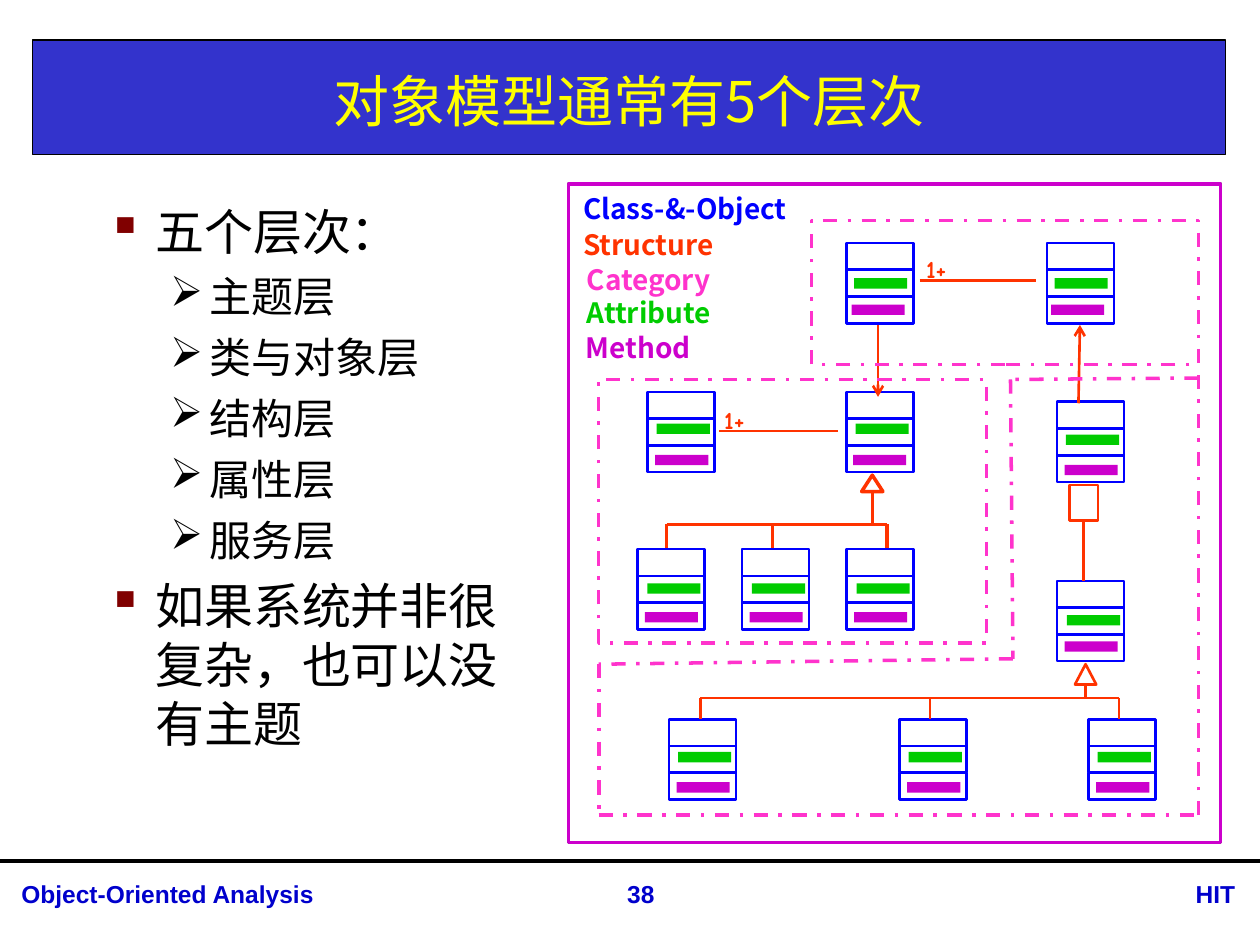
from dataclasses import dataclass
from itertools import pairwise

from lxml import etree
from pptx import Presentation
from pptx import util as u
from pptx.dml.color import RGBColor
from pptx.enum import dml, shapes, text
from pptx.oxml import ns

BLACK = RGBColor(0x00, 0x00, 0x00)
YELLOW = RGBColor(0xFF, 0xFF, 0x00)
BANNER = RGBColor(0x33, 0x33, 0xCC)
NAVY = RGBColor(0x00, 0x00, 0xCC)
BLUE = RGBColor(0x00, 0x00, 0xFF)
ORANGE = RGBColor(0xFF, 0x33, 0x00)
PINK = RGBColor(0xFF, 0x33, 0xCC)
GREEN = RGBColor(0x00, 0xCC, 0x00)
PURPLE = RGBColor(0xCC, 0x00, 0xCC)
MAROON = "800000"

HAN = "Noto Sans CJK SC"
LEFT, CENTER, RIGHT = (text.PP_ALIGN.LEFT, text.PP_ALIGN.CENTER, text.PP_ALIGN.RIGHT)
RECT = shapes.MSO_SHAPE.RECTANGLE
TRIANGLE = shapes.MSO_SHAPE.ISOSCELES_TRIANGLE
CELL_WIDTH, CELL_HEIGHT = 1.35, 0.54

# Class symbols in the diagram: left, top, attribute bar offset, method bar offset
CLASSES = [
    (5.60, 1.19, (0.15, 0.71), (0.10, 1.24)),
    (9.64, 1.19, (0.15, 0.71), (0.08, 1.24)),
    (5.60, 4.19, (0.18, 0.64), (0.13, 1.27)),
    (1.59, 4.19, (0.18, 0.64), (0.15, 1.27)),
    *[(left, 7.36, (0.20, 0.69), (0.15, 1.27)) for left in (5.60, 3.49, 1.38)],
    (9.84, 4.39, (0.18, 0.66), (0.15, 1.27)),
    (9.84, 8.00, (0.20, 0.69), (0.15, 1.22)),
    *[(left, 10.79, (0.18, 0.66), (0.15, 1.27)) for left in (2.02, 6.67, 10.48)],
]


def sub(parent, tag, **attributes):
    return etree.SubElement(parent, ns.qn(tag), **attributes)


def set_font(para, size, color, latin=HAN, bold=False):
    for span in para.runs:
        font = span.font
        font.size, font.bold, font.name = u.Pt(size), bold, latin
        font.color.rgb = color
        sub(font._element, "a:ea", typeface=HAN)


@dataclass
class Region:
    """A box on the page; its parts are placed in centimetres from its corner."""
    items: object
    left: float
    top: float
    width: float
    height: float

    def shape(self, x, y, width, height, fill=None, line=None, weight=1.5, kind=RECT):
        shape = self.items.add_shape(kind, u.Cm(self.left + x), u.Cm(self.top + y),
                                     u.Cm(width), u.Cm(height))
        shape.shadow.inherit = False
        if fill is None:
            shape.fill.background()
        else:
            shape.fill.solid()
            shape.fill.fore_color.rgb = fill
        if line is None:
            shape.line.fill.background()
        else:
            shape.line.color.rgb = line
            shape.line.width = u.Pt(weight)
        return shape

    def line(self, start, end, color, weight=1.5, arrow=None):
        """Draw a line; arrow is 'a:headEnd' or 'a:tailEnd'."""
        line = self.items.add_connector(
            shapes.MSO_CONNECTOR.STRAIGHT,
            u.Cm(self.left + start[0]), u.Cm(self.top + start[1]),
            u.Cm(self.left + end[0]), u.Cm(self.top + end[1]))
        line.line.color.rgb = color
        line.line.width = u.Pt(weight)
        if arrow:
            sub(line.line._get_or_add_ln(), arrow, type="arrow")
        sub(line._element.spPr, "a:effectLst")
        return line

    def label(self, words, x, y, width, height, size, color, latin=HAN,
              bold=True, align=LEFT):
        box = self.items.add_textbox(u.Cm(self.left + x), u.Cm(self.top + y),
                                     u.Cm(width), u.Cm(height))
        frame = box.text_frame
        frame.word_wrap = True
        frame.text = words
        frame.paragraphs[0].alignment = align
        set_font(frame.paragraphs[0], size, color, latin, bold)
        return frame


def add_title(region):
    region.shape(0, 0, region.width, region.height, BANNER, BLACK, 0.75)
    frame = region.label("对象模型通常有5个层次", 0, 0.1, region.width, 2.21, 32, YELLOW,
                         bold=False, align=CENTER)
    frame.vertical_anchor = text.MSO_ANCHOR.MIDDLE


def add_bullets(region):
    topics = ["主题层", "类与对象层", "结构层", "属性层", "服务层"]
    entries = [("五个层次：", 0), *[(topic, 1) for topic in topics],
               ("如果系统并非很复杂，也可以没有主题", 0)]
    frame = region.label("", 0, 0, region.width, region.height, 28, BLACK)
    for number, (words, level) in enumerate(entries):
        para = frame.add_paragraph() if number else frame.paragraphs[0]
        para.text = words
        para.level = level
        para.space_before = u.Pt(3 if number else 0)
        para.space_after = u.Pt(3)
        indent, hanging = ((0.97, 0.97), (2.06, 0.79))[level]
        props = para._p.get_or_add_pPr()
        props.set("marL", str(u.Cm(indent)))
        props.set("indent", str(-u.Cm(hanging)))
        if level == 0:
            sub(sub(props, "a:buClr"), "a:srgbClr", val=MAROON)
        sub(props, "a:buChar", char="▪➢"[level])
        set_font(para, (28, 24)[level], BLACK, "Arial")


def add_layer(region, page, name, x, y, color, weight):
    """Start a diagram layer: a group with its frame and its name."""
    layer = Region(page.shapes.add_group_shape().shapes, region.left, region.top,
                   region.width, region.height)
    layer.shape(0, 0, region.width, region.height, line=color, weight=weight)
    layer.label(name, x, y, 5.28, 0.94, 16, color)
    return layer


def add_classes(layer):
    for left, top, _, _ in CLASSES:
        for row in range(3):
            layer.shape(left, top + row * CELL_HEIGHT, CELL_WIDTH, CELL_HEIGHT, line=BLUE)


def add_generalization(layer, x, y, height, bar, branches, bottom, weight):
    """Draw a triangle, its stem and the bar that branches to the subclasses."""
    width = 0.43
    stem = x + width / 2
    layer.shape(x, y, width, height, line=ORANGE, weight=weight, kind=TRIANGLE)
    layer.line((stem, y + height), (stem, bar), ORANGE, weight)
    layer.line((branches[0], bar), (branches[-1], bar), ORANGE, weight)
    for branch in branches:
        layer.line((branch, bar), (branch, bottom), ORANGE, weight)


def add_structure(layer):
    layer.shape(10.09, 6.07, 0.58, 0.71, line=ORANGE)
    layer.line((10.37, 6.78), (10.37, 8.00), ORANGE)
    layer.line((10.30, 2.84), (10.27, 4.42), ORANGE, arrow="a:headEnd")
    layer.line((6.23, 2.84), (6.23, 4.29), ORANGE, arrow="a:tailEnd")
    layer.line((7.07, 1.95), (9.41, 1.95), ORANGE)
    layer.line((3.03, 4.98), (5.42, 4.98), ORANGE)
    for x, y in ((6.95, 1.29), (2.88, 4.34)):
        layer.label("1+", x, y, 1.08, 1.37, 14, ORANGE, "Comic Neue")
    add_generalization(layer, 5.90, 5.87, 0.33, 6.86, (1.97, 4.10, 6.41), 7.34, 2)
    add_generalization(layer, 10.20, 9.68, 0.41, 10.36, (2.65, 7.28, 11.09), 10.79, 1.5)


def add_categories(layer):
    corners = [(12.69, 3.91), (8.90, 3.94), (8.95, 9.57), (0.60, 9.68),
               (0.60, 12.72), (12.69, 12.72), (12.69, 3.83)]
    borders = [layer.line(start, end, PINK, 2) for start, end in pairwise(corners)]
    for box in ((0.60, 3.94, 7.82, 5.31), (4.89, 0.74, 7.80, 2.90)):
        borders.append(layer.shape(*box, line=PINK, weight=2))
    for border in borders:
        border.line.dash_style = dml.MSO_LINE.DASH_DOT


def add_bars(layer, column, color):
    for entry in CLASSES:
        dx, dy = entry[column]
        layer.shape(entry[0] + dx, entry[1] + dy, 1.07, 0.21, fill=color)


def add_diagram(region, page):
    add_classes(add_layer(region, page, "Class-&-Object", 0.04, 0.02, BLUE, 1))
    add_structure(add_layer(region, page, "Structure", 0.04, 0.76, ORANGE, 1))
    add_categories(add_layer(region, page, "Category", 0.11, 1.45, PINK, 1.75))
    add_bars(add_layer(region, page, "Attribute", 0.11, 2.13, GREEN, 1.75), 2, GREEN)
    add_bars(add_layer(region, page, "Method", 0.09, 2.82, PURPLE, 1.75), 3, PURPLE)


def add_footer(region):
    region.line((0, 0), (region.width, 0), BLACK, 2.25)
    for words, x, width, align in (("Object-Oriented Analysis", 0.18, 11.76, LEFT),
                                   ("HIT", 22.53, 2.62, RIGHT),
                                   ("38", 11.61, 2.62, CENTER)):
        region.label(words, x, 0.25, width, 0.86, 14, NAVY, "Arial", align=align)


def main():
    deck = Presentation()
    deck.slide_width, deck.slide_height = u.Cm(25.4), u.Cm(19.05)
    page = deck.slides.add_slide(deck.slide_layouts[6])
    add_title(Region(page.shapes, 0.66, 0.81, 24.05, 2.31))
    add_footer(Region(page.shapes, 0, 17.35, 25.4, 1.7))
    add_bullets(Region(page.shapes, 1.91, 3.94, 8.74, 12.01))
    add_diagram(Region(page.shapes, 11.47, 3.71, 13.13, 13.28), page)
    deck.save("out.pptx")


if __name__ == "__main__":
    main()
